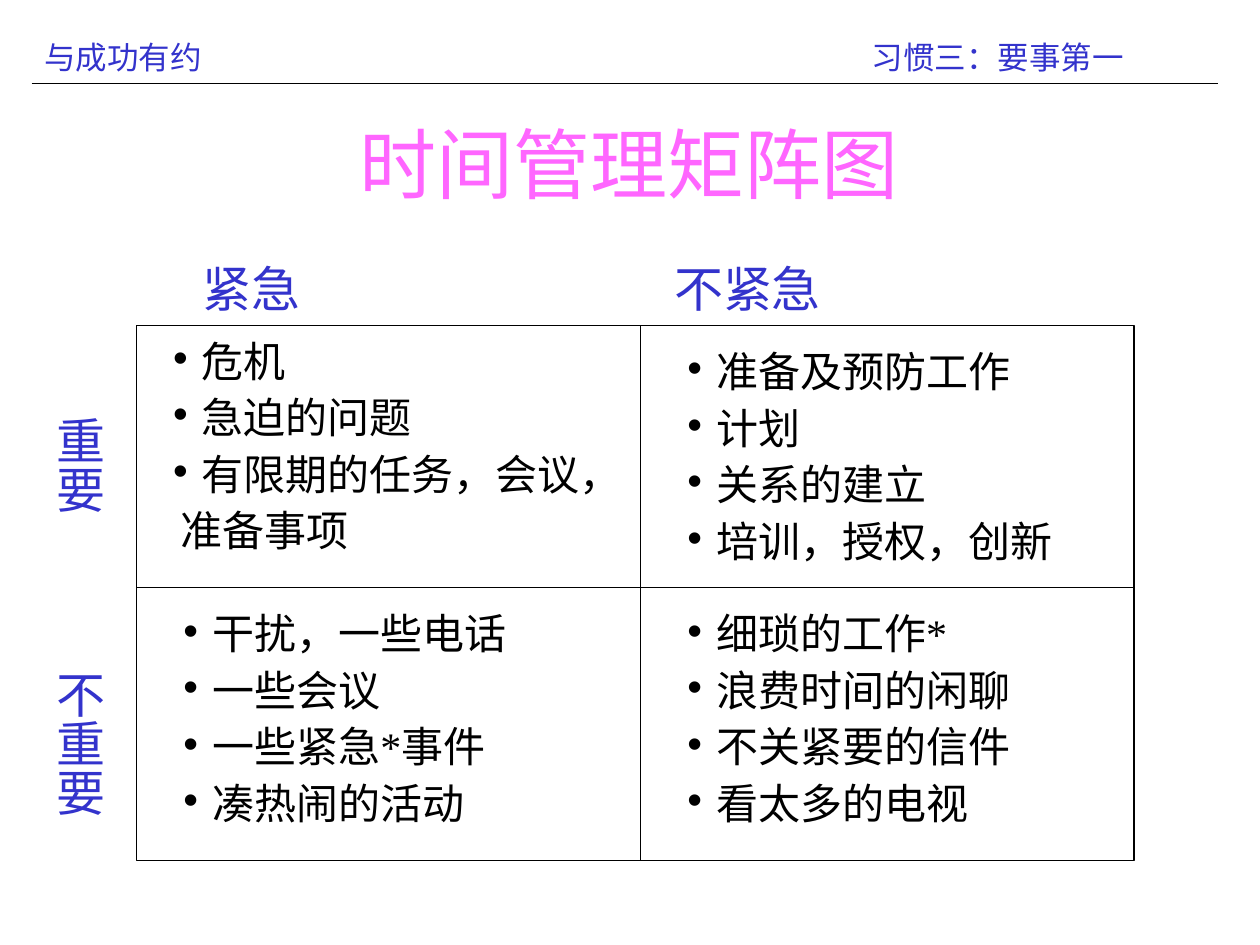
from lxml import etree
from pptx import Presentation
from pptx.dml.color import RGBColor
from pptx.enum.shapes import MSO_CONNECTOR, MSO_SHAPE
from pptx.enum.text import MSO_ANCHOR, PP_ALIGN
from pptx.oxml.ns import qn
from pptx.util import Cm, Pt

STRAIGHT = MSO_CONNECTOR.STRAIGHT
RECTANGLE = MSO_SHAPE.RECTANGLE
MIDDLE = MSO_ANCHOR.MIDDLE
CENTER = PP_ALIGN.CENTER

BLUE, PINK, BLACK = "3333CC", "FF66FF", "000000"
FONT = "Times New Roman"

# Lengths in cm
TITLE = "时间管理矩阵图"
RUNNING_HEADS = [("与成功有约", 0.64, 6), ("习惯三：要事第一", 17.32, 7)]
COLUMN_LABELS = [("紧急", 3.84), ("不紧急", 13.34)]
ROW_LABELS = [("重要", 8.15), ("不重要", 13.26)]

# Position, width, bulleted items, unbulleted continuation of the last item
QUADRANTS = [
    (2.97, 6.99, 9.96, ["危机", "急迫的问题", "有限期的任务，会议，"], "准备事项"),
    (13.34, 7.2, 9.96, ["准备及预防工作", "计划", "关系的建立", "培训，授权，创新"], None),
    (3.18, 12.49, 10.16, ["干扰，一些电话", "一些会议", "一些紧急*事件", "凑热闹的活动"], None),
    (13.34, 12.49, 9.74, ["细琐的工作*", "浪费时间的闲聊", "不关紧要的信件", "看太多的电视"], None),
]
LEFT, MIDDLE_X, RIGHT = 2.75, 12.91, 22.86
TOP, MIDDLE_Y, BOTTOM = 6.56, 11.85, 17.35
RULE_LEFT, RULE_RIGHT, RULE_Y = 0.64, 24.55, 1.69
ITEM_INDENT, BULLET_OFFSET, CONTINUATION_INDENT = 0.85, -0.58, 0.42


def color(value):
    return RGBColor.from_string(value)


def style(paragraph, size, value):
    paragraph.font.size = Pt(size)
    paragraph.font.name = FONT
    paragraph.font.color.rgb = color(value)


def add_text(text, left, top, width, height, size, value):
    frame = slide.shapes.add_textbox(Cm(left), Cm(top), Cm(width), Cm(height)).text_frame
    frame.word_wrap = True
    frame.text = text
    style(frame.paragraphs[0], size, value)
    return frame


def add_line(x1, y1, x2, y2):
    line = slide.shapes.add_connector(STRAIGHT, Cm(x1), Cm(y1), Cm(x2), Cm(y2))
    line.line.color.rgb = color(BLACK)
    line.line.width = Pt(0.75)
    etree.SubElement(line._element.spPr, qn("a:effectLst"))


def indent(paragraph, margin, first_line=0, bullet=None):
    properties = paragraph._p.get_or_add_pPr()
    properties.set("marL", str(Cm(margin)))
    properties.set("indent", str(Cm(first_line)))
    if bullet:
        etree.SubElement(properties, qn("a:buFont"), typeface="Arial")
        etree.SubElement(properties, qn("a:buChar"), char=bullet)


def add_quadrant(left, top, width, items, continuation):
    frame = add_text(items[0], left, top, width, 4.29, 24, BLACK)
    for item in items[1:]:
        frame.add_paragraph().text = item
    for paragraph in frame.paragraphs:
        indent(paragraph, ITEM_INDENT, BULLET_OFFSET, "•")
    if continuation:
        last = frame.add_paragraph()
        last.text = continuation
        indent(last, CONTINUATION_INDENT)
    for number, paragraph in enumerate(frame.paragraphs):
        style(paragraph, 24, BLACK)
        paragraph.line_spacing = 0.6
        paragraph.space_before = Pt(15 if number else 0)


presentation = Presentation()
presentation.slide_width, presentation.slide_height = Cm(25.4), Cm(19.05)
slide = presentation.slides.add_slide(presentation.slide_layouts[6])

title = add_text(TITLE, 1.9, 1.69, 21.59, 3.18, 44, PINK)
title.vertical_anchor = MIDDLE
title.paragraphs[0].alignment = CENTER

add_line(RULE_LEFT, RULE_Y, RULE_RIGHT, RULE_Y)
for text, left, width in RUNNING_HEADS:
    add_text(text, left, 0.64, width, 1.02, 18, BLUE)

matrix = slide.shapes.add_shape(RECTANGLE, Cm(LEFT), Cm(TOP), Cm(RIGHT - LEFT), Cm(BOTTOM - TOP))
matrix.shadow.inherit = False
matrix.fill.background()
matrix.line.color.rgb = color(BLACK)
matrix.line.width = Pt(0.75)
add_line(LEFT, MIDDLE_Y, RIGHT, MIDDLE_Y)
add_line(MIDDLE_X, TOP, MIDDLE_X, BOTTOM)

for text, left in COLUMN_LABELS:
    add_text(text, left, 5.08, 5, 1.45, 28, BLUE)
for text, top in ROW_LABELS:
    label = add_text(text, 0.64, top, 1.68, 4, 28, BLUE)
    label.margin_left = label.margin_right = Cm(0.13)
    label.margin_top = label.margin_bottom = Cm(0.25)
    label._txBody.bodyPr.set("vert", "eaVert")
for quadrant in QUADRANTS:
    add_quadrant(*quadrant)

presentation.save("out.pptx")
